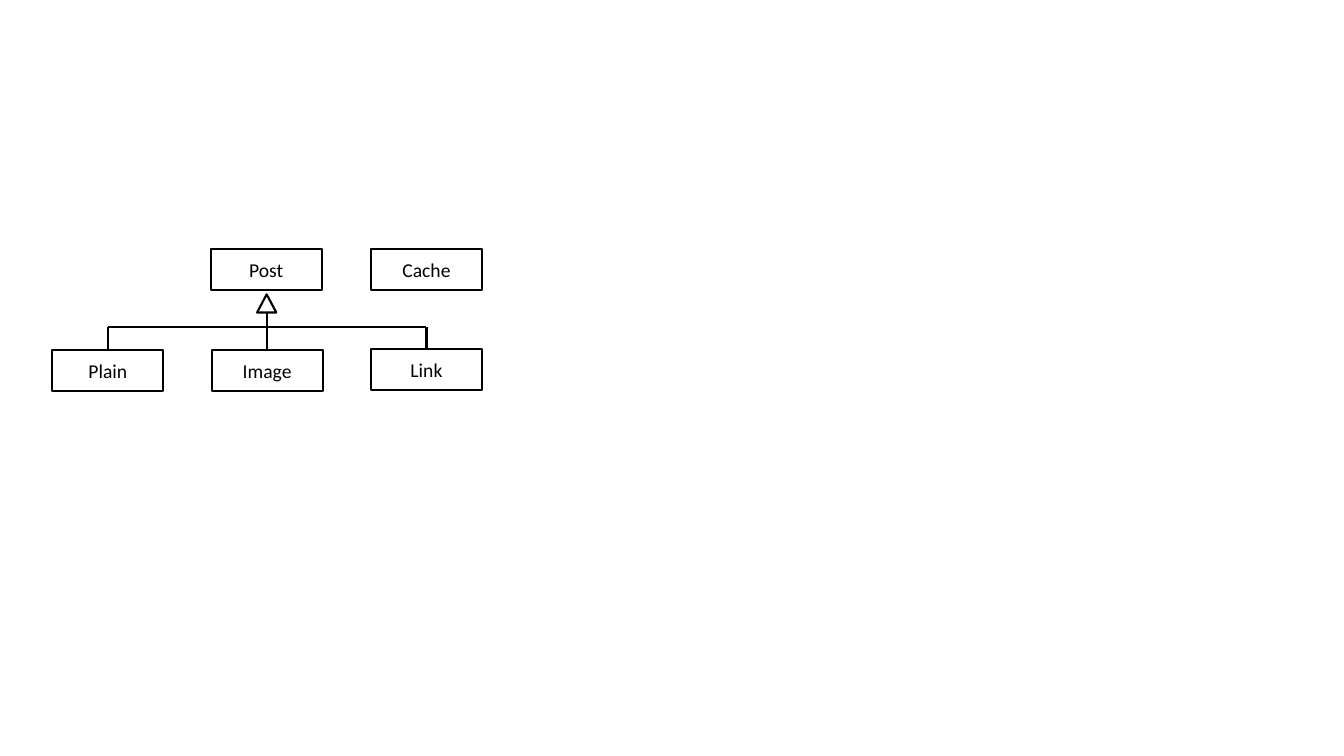
from pptx import Presentation
from pptx.dml.color import RGBColor
from pptx.enum.shapes import MSO_CONNECTOR as Connector, MSO_SHAPE as Preset
from pptx.enum.text import MSO_ANCHOR as Anchor, PP_ALIGN as Align
from pptx.oxml.ns import qn
from pptx.util import Pt
from lxml.etree import SubElement

EMU_PER_PX = 9144
COLOURS = {"ink": "000000", "paper": "FFFFFF"}
FONT = "Calibri"
BOX_WIDTH, BOX_HEIGHT = 110, 41
PARENT_TOP = 247
BAR_Y = 324
CHILDREN = [("Plain", 52, 347), ("Image", 210, 347), ("Link", 368, 346)]


def px(length):
    return length * EMU_PER_PX


def colour(name):
    return RGBColor.from_string(COLOURS[name])


def style_line(line):
    line.color.rgb = colour("ink")
    line.width = Pt(1.5)


def add_outlined(page, preset, left, top, width, height):
    shape = page.shapes.add_shape(preset, px(left), px(top), px(width), px(height))
    shape.shadow.inherit = False
    shape.fill.solid()
    shape.fill.fore_color.rgb = colour("paper")
    style_line(shape.line)
    return shape


def add_class_box(page, name, left, top):
    box = add_outlined(page, Preset.RECTANGLE, left, top, BOX_WIDTH, BOX_HEIGHT)
    frame = box.text_frame
    frame.text = name
    frame.word_wrap = True
    frame.vertical_anchor = Anchor.MIDDLE
    para = frame.paragraphs[0]
    para.alignment = Align.CENTER
    font = para.runs[0].font
    font.name = FONT
    font.size = Pt(14)
    font.color.rgb = colour("ink")
    return box


def add_line(page, start_x, start_y, end_x, end_y):
    line = page.shapes.add_connector(
        Connector.STRAIGHT, px(start_x), px(start_y), px(end_x), px(end_y)
    )
    style_line(line.line)
    SubElement(line._element.spPr, qn("a:effectLst"))
    return line


def add_child(page, name, left, top):
    box = add_class_box(page, name, left, top)
    centre = left + BOX_WIDTH // 2
    branch = add_line(page, centre, top, centre, BAR_Y)
    branch.begin_connect(box, 0)
    return centre


def main():
    deck = Presentation()
    deck.slide_width, deck.slide_height = px(1333), px(750)
    page = deck.slides.add_slide(deck.slide_layouts[6])

    add_class_box(page, "Post", 209, PARENT_TOP)
    add_class_box(page, "Cache", 368, PARENT_TOP)
    centres = [add_child(page, *child) for child in CHILDREN]
    add_line(page, centres[0], BAR_Y, centres[-1], BAR_Y)
    add_line(page, centres[1], BAR_Y, centres[1], 302)
    add_outlined(page, Preset.ISOSCELES_TRIANGLE, 255, 292, 19, 18)

    deck.save("out.pptx")


if __name__ == "__main__":
    main()
